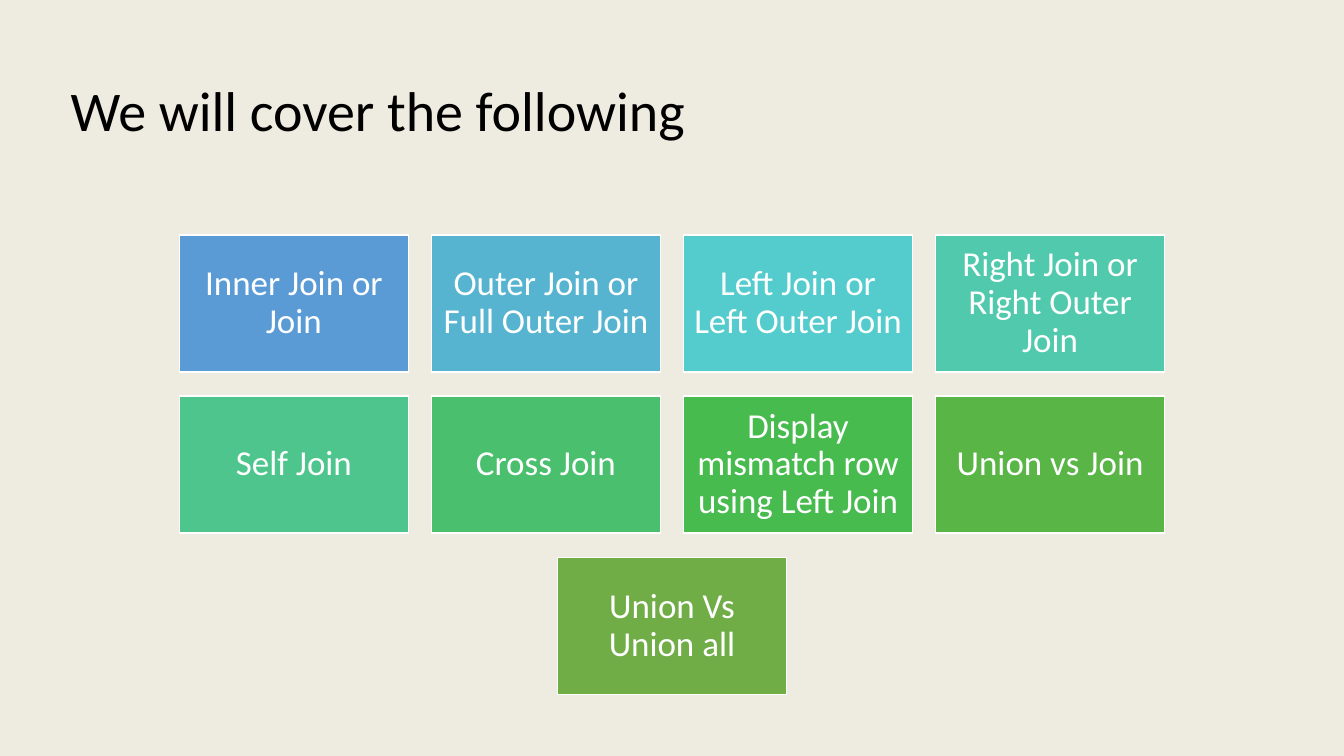
from dataclasses import dataclass

from lxml import etree
from pptx import Presentation
from pptx.dml.color import RGBColor
from pptx.enum.shapes import MSO_SHAPE
from pptx.enum.text import MSO_ANCHOR, PP_ALIGN
from pptx.oxml.ns import qn
from pptx.util import Inches, Pt

RECTANGLE = MSO_SHAPE.RECTANGLE
MIDDLE = MSO_ANCHOR.MIDDLE
LEFT, CENTER = PP_ALIGN.LEFT, PP_ALIGN.CENTER
TITLE_ONLY = 5


@dataclass(frozen=True)
class Theme:
    font: str = "Calibri"
    title_size: int = 40
    tile_size: int = 25
    title_color: str = "000000"
    light: str = "FFFFFF"
    backdrop: str = "F2F2F2"
    tint: str = "BF9000"
    tint_opacity: int = 7


@dataclass(frozen=True)
class Grid:
    slide_width: float = 13.33
    slide_height: float = 7.5
    top: float = 2.33
    tile_width: float = 2.27
    tile_height: float = 1.36
    column_step: float = 2.5
    row_step: float = 1.6

    def cell(self, row, column, count):
        row_width = (count - 1) * self.column_step + self.tile_width
        left = (self.slide_width - row_width) / 2 + column * self.column_step
        return left, self.top + row * self.row_step, self.tile_width, self.tile_height


class SlideBuilder:
    def __init__(self, deck, theme, grid):
        self.theme = theme
        self.grid = grid
        deck.slide_width = Inches(grid.slide_width)
        deck.slide_height = Inches(grid.slide_height)
        self.slide = deck.slides.add_slide(deck.slide_layouts[TITLE_ONLY])

    def rectangle(self, left, top, width, height, color):
        box = self.slide.shapes.add_shape(
            RECTANGLE, Inches(left), Inches(top), Inches(width), Inches(height))
        box.shadow.inherit = False
        box.fill.solid()
        box.fill.fore_color.rgb = RGBColor.from_string(color)
        box.line.fill.background()
        return box

    def text(self, box, words, size, color, alignment):
        frame = box.text_frame
        frame.word_wrap = True
        frame.vertical_anchor = MIDDLE
        frame.text = words
        para = frame.paragraphs[0]
        para.alignment = alignment
        para.line_spacing = 0.9
        para.font.name = self.theme.font
        para.font.size = Pt(size)
        para.font.color.rgb = RGBColor.from_string(color)
        return frame

    def background(self):
        full = (0, 0, self.grid.slide_width, self.grid.slide_height)
        self.rectangle(*full, self.theme.backdrop)
        tint = self.rectangle(*full, self.theme.tint)
        color = tint.element.spPr.find(qn("a:solidFill"))[0]
        alpha = etree.SubElement(color, qn("a:alpha"))
        alpha.set("val", str(self.theme.tint_opacity * 1000))

    def title(self, words):
        box = self.slide.shapes.title
        box.left, box.top = Inches(0.6), Inches(0.4)
        box.width, box.height = Inches(12.13), Inches(1.45)
        self.text(box, words, self.theme.title_size, self.theme.title_color, LEFT)
        box.element.getparent().append(box.element)

    def tile(self, row, column, count, words, color):
        box = self.rectangle(*self.grid.cell(row, column, count), color)
        box.line.color.rgb = RGBColor.from_string(self.theme.light)
        box.line.width = Pt(1)
        frame = self.text(box, words, self.theme.tile_size, self.theme.light, CENTER)
        frame.margin_left = frame.margin_right = Inches(0.1)
        frame.margin_top = frame.margin_bottom = Inches(0.1)


TOPIC_ROWS = [
    [
        ("Inner Join or Join", "5B9BD5"),
        ("Outer Join or Full Outer Join", "57B4D1"),
        ("Left Join or Left Outer Join", "54CCCD"),
        ("Right Join or Right Outer Join", "51C9AD"),
    ],
    [
        ("Self Join", "4DC58D"),
        ("Cross Join", "4AC06E"),
        ("Display mismatch row using Left Join", "48BB4F"),
        ("Union vs Join", "59B546"),
    ],
    [("Union Vs Union all", "70AD47")],
]


def main():
    deck = Presentation()
    builder = SlideBuilder(deck, Theme(), Grid())
    builder.background()
    builder.title("We will cover the following")
    for row, topics in enumerate(TOPIC_ROWS):
        for column, (words, color) in enumerate(topics):
            builder.tile(row, column, len(topics), words, color)
    deck.save("out.pptx")


if __name__ == "__main__":
    main()
